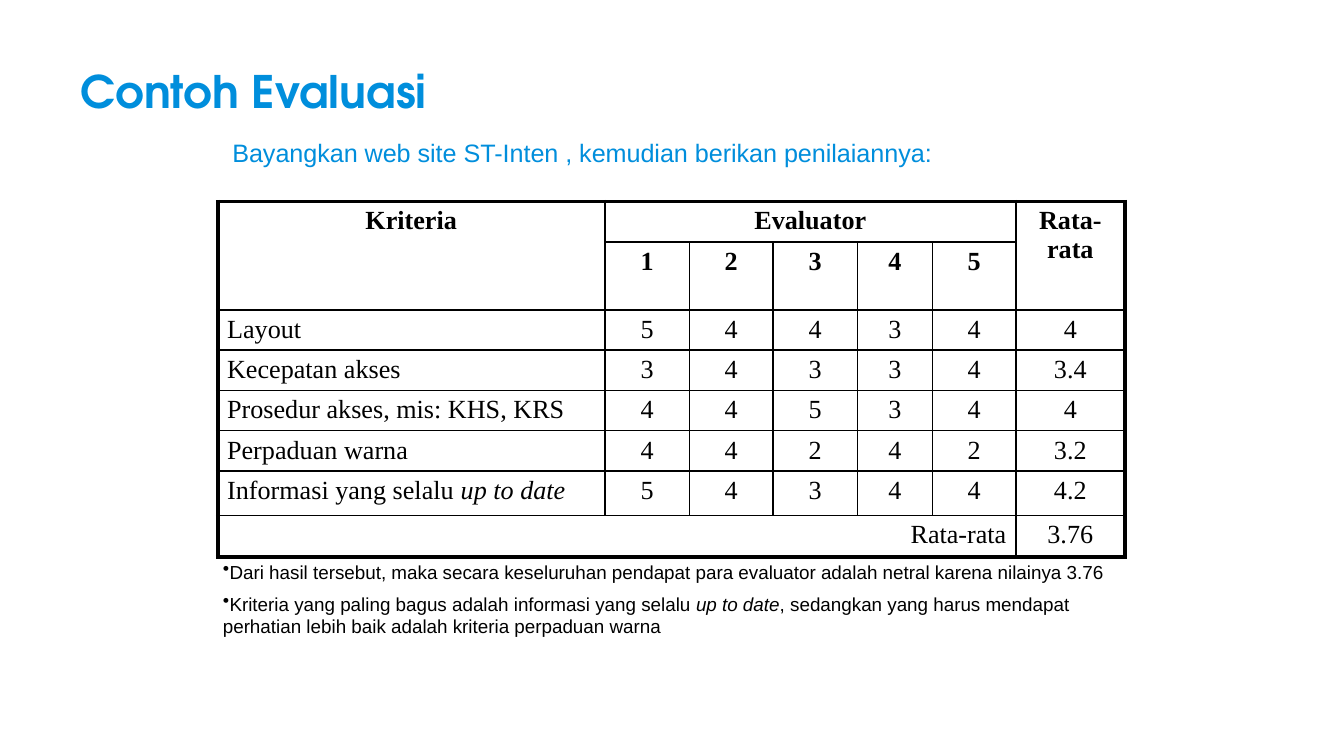
from lxml.etree import SubElement
from pptx import Presentation
from pptx.dml.color import RGBColor
from pptx.enum.text import MSO_ANCHOR, PP_ALIGN
from pptx.oxml.ns import qn
from pptx.util import Inches, Pt

COLORS = {"blue": "008EDC", "black": "000000"}
CENTER, LEFT, RIGHT = PP_ALIGN.CENTER, PP_ALIGN.LEFT, PP_ALIGN.RIGHT

COLUMN_WIDTHS = [2.88, 0.63, 0.62, 0.63, 0.56, 0.62, 0.81]
ROW_HEIGHTS = [0.3, 0.3, 0.3, 0.3, 0.3, 0.3, 0.33, 0.31]
MERGES = [(0, 0, 1, 0), (0, 1, 0, 5), (0, 6, 1, 6), (7, 0, 7, 5)]
HEADER_ROWS = 2
RATINGS = [
    ["Kriteria", "Evaluator", "", "", "", "", "Rata-rata"],
    ["", "1", "2", "3", "4", "5", ""],
    ["Layout", "5", "4", "4", "3", "4", "4"],
    ["Kecepatan akses", "3", "4", "3", "3", "4", "3.4"],
    ["Prosedur akses, mis: KHS, KRS", "4", "4", "5", "3", "4", "4"],
    ["Perpaduan warna", "4", "4", "2", "4", "2", "3.2"],
    ["Informasi yang selalu *up to date*", "5", "4", "3", "4", "4", "4.2"],
    ["Rata-rata", "", "", "", "", "", "3.76"],
]
NOTES = [
    "Dari hasil tersebut, maka secara keseluruhan pendapat para evaluator "
    "adalah netral karena nilainya 3.76",
    "Kriteria yang paling bagus adalah informasi yang selalu *up to date*, "
    "sedangkan yang harus mendapat perhatian lebih baik adalah kriteria perpaduan warna",
]


def write_text(para, text, font="Arial", size=14, color="black", bold=False,
               align=LEFT, line_spacing=None, space_before=0, bullet=None):
    """Fill a paragraph with formatted text, setting parts between asterisks in italics."""
    para.alignment = align
    para.line_spacing = line_spacing
    para.space_before = Pt(space_before)
    if bullet:
        SubElement(para._p.get_or_add_pPr(), qn("a:buChar"), char=bullet)
    for index, part in enumerate(text.split("*")):
        if part:
            span = para.add_run()
            span.text = part
            span.font.name = font
            span.font.size = Pt(size)
            span.font.bold = bold
            span.font.italic = index % 2 == 1
            span.font.color.rgb = RGBColor.from_string(COLORS[color])


class SlideWriter:
    def __init__(self, page):
        self.page = page
        self.inner_line = Pt(1)
        self.outer_line = Pt(2.25)
        self.table_font = "Times New Roman"

    def text_box(self, left, top, width, height, texts, anchor=MSO_ANCHOR.TOP,
                 gap=0, **style):
        box = self.page.shapes.add_textbox(
            Inches(left), Inches(top), Inches(width), Inches(height))
        frame = box.text_frame
        frame.word_wrap = True
        frame.vertical_anchor = anchor
        for index, text in enumerate(texts):
            para = frame.add_paragraph() if index else frame.paragraphs[0]
            write_text(para, text, space_before=gap if index else 0, **style)

    def border(self, cell, side, width):
        line = SubElement(cell._tc.get_or_add_tcPr(), qn(f"a:ln{side}"), w=str(width))
        fill = SubElement(line, qn("a:solidFill"))
        SubElement(fill, qn("a:srgbClr"), val=COLORS["black"])

    def table(self, left, top, widths, heights, rows, merges, header_rows):
        frame = self.page.shapes.add_table(
            len(heights), len(widths), Inches(left), Inches(top),
            Inches(sum(widths)), Inches(sum(heights)))
        table = frame.table
        table.first_row = table.horz_banding = False
        for column, width in zip(table.columns, widths):
            column.width = Inches(width)
        for row, height in zip(table.rows, heights):
            row.height = Inches(height)
        for first_row, first_column, last_row, last_column in merges:
            table.cell(first_row, first_column).merge(table.cell(last_row, last_column))
        last_row, last_column = len(heights) - 1, len(widths) - 1
        for r, texts in enumerate(rows):
            for c, text in enumerate(texts):
                cell = table.cell(r, c)
                edges = {"L": c == 0, "R": c == last_column,
                         "T": r == 0, "B": r == last_row}
                for side, is_outer in edges.items():
                    self.border(cell, side, self.outer_line if is_outer else self.inner_line)
                cell.fill.background()
                cell.margin_left = cell.margin_right = Inches(0.07)
                cell.margin_top, cell.margin_bottom = Pt(2.7), 0
                is_header = r < header_rows
                if c or is_header:
                    align = CENTER
                else:
                    align = RIGHT if r == last_row else LEFT
                write_text(cell.text_frame.paragraphs[0], text, font=self.table_font,
                           bold=is_header, align=align)


def main():
    deck = Presentation()
    deck.slide_width, deck.slide_height = Inches(10), Inches(10 * 9 / 16)
    writer = SlideWriter(deck.slides.add_slide(deck.slide_layouts[6]))
    writer.text_box(0.5, 0.23, 9, 0.94, ["Contoh Evaluasi"], anchor=MSO_ANCHOR.MIDDLE,
                    font="TeX Gyre Adventor", size=24, color="blue", bold=True,
                    line_spacing=0.9)
    writer.text_box(1.63, 1, 6.75, 0.44,
                    ["Bayangkan web site ST-Inten , kemudian berikan penilaiannya:"],
                    size=13.5, color="blue", line_spacing=0.9)
    writer.table(1.62, 1.5, COLUMN_WIDTHS, ROW_HEIGHTS, RATINGS, MERGES, HEADER_ROWS)
    writer.text_box(1.56, 4.12, 6.81, 0.7, NOTES, gap=5, size=10.12, bullet="•")
    deck.save("out.pptx")


if __name__ == "__main__":
    main()
